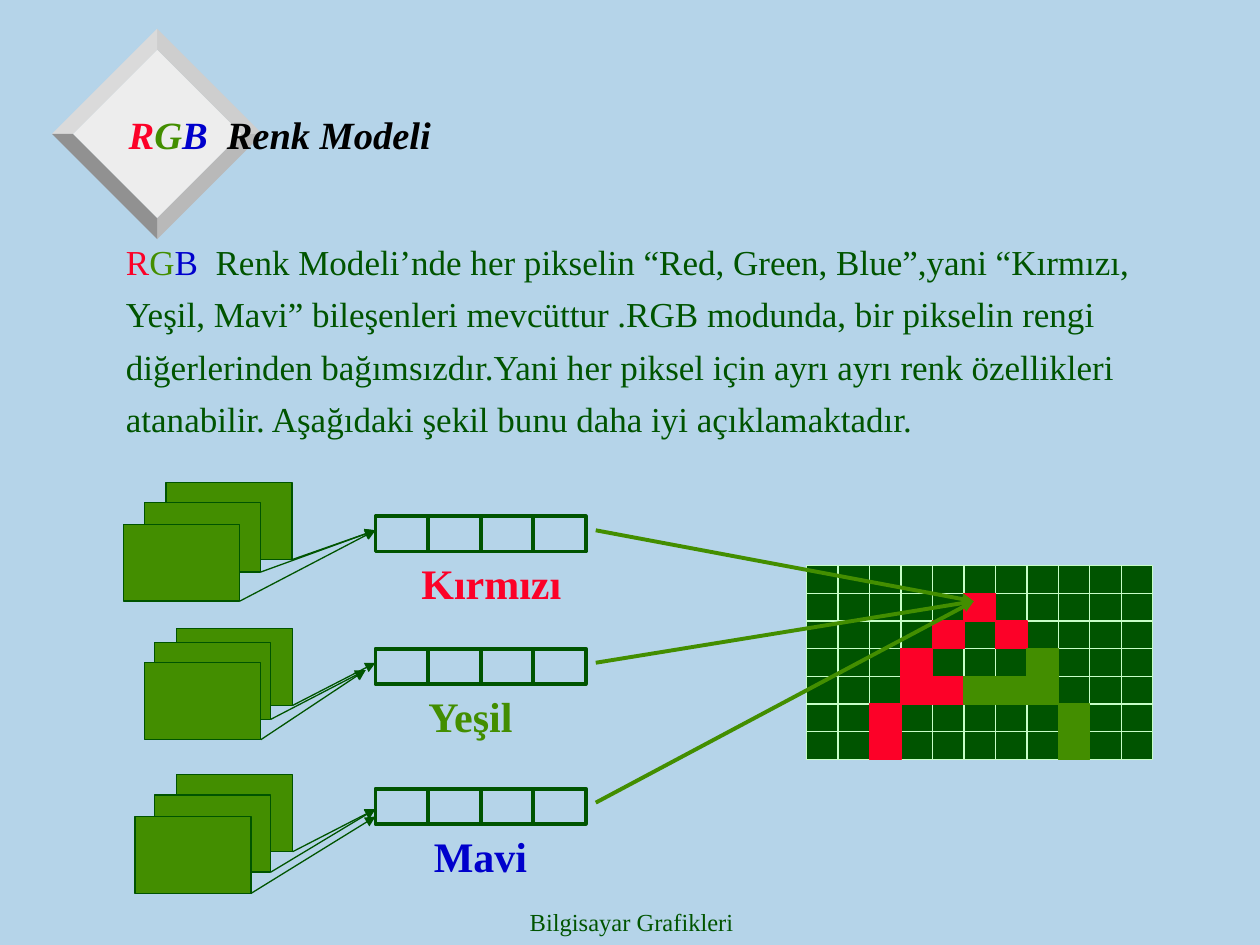
from lxml.etree import SubElement
from pptx import Presentation
from pptx.dml.color import RGBColor
from pptx.enum.shapes import MSO_CONNECTOR, MSO_SHAPE
from pptx.enum.text import MSO_ANCHOR, MSO_AUTO_SIZE, PP_ALIGN
from pptx.oxml.ns import qn
from pptx.util import Cm, Pt

HUES = {
    "sky": "B5D4E9", "dark": "005400", "green": "438E00", "red": "FC0128",
    "blue": "0000CC", "black": "000000", "mint": "C8FEC8",
    "face": "EDEDED", "ne": "CECECE", "nw": "DADADA", "se": "B9B9B9", "sw": "919191",
}


def hue(name):
    return RGBColor.from_string(HUES[name])


def put(thing, **values):
    """Set every given attribute on thing."""
    for key, value in values.items():
        setattr(thing, key, value)


class Board:
    """The style of the deck and the slide being drawn; lengths are in cm."""

    font = "Times New Roman"
    thin, bold = 0.75, 2.25

    def __init__(self, deck):
        self.slide = deck.slides.add_slide(deck.slide_layouts[5])
        self.shapes = self.slide.shapes
        fill = self.slide.background.fill
        fill.solid()
        fill.fore_color.rgb = hue("sky")

    def paint(self, shape, fill=None, edge=None, width=thin):
        shape.shadow.inherit = False
        if fill:
            shape.fill.solid()
            shape.fill.fore_color.rgb = hue(fill)
        else:
            shape.fill.background()
        if edge:
            shape.line.color.rgb = hue(edge)
            shape.line.width = Pt(width)
        else:
            shape.line.fill.background()

    def rect(self, x, y, w, h, **look):
        shape = self.shapes.add_shape(MSO_SHAPE.RECTANGLE, Cm(x), Cm(y), Cm(w), Cm(h))
        self.paint(shape, **look)

    def facet(self, points, fill):
        first, *rest = [(Cm(x), Cm(y)) for x, y in points]
        pen = self.shapes.build_freeform(*first, scale=1.0)
        pen.add_line_segments(rest, close=True)
        self.paint(pen.convert_to_shape(), fill)

    def line(self, start, end, edge, width=thin, arrow=False):
        ends = [Cm(n) for n in (*start, *end)]
        link = self.shapes.add_connector(MSO_CONNECTOR.STRAIGHT, *ends)
        link.line.color.rgb = hue(edge)
        link.line.width = Pt(width)
        props = link._element.spPr
        if arrow:
            SubElement(props.find(qn("a:ln")), qn("a:tailEnd"), type="triangle")
        SubElement(props, qn("a:effectLst"))

    def words(self, frame, rows, align, gap=0, **style):
        """Fill a frame with rows, each a list of (text, colour) runs."""
        put(frame, word_wrap=True, auto_size=MSO_AUTO_SIZE.NONE)
        for i, row in enumerate(rows):
            para = frame.add_paragraph() if i else frame.paragraphs[0]
            put(para, alignment=align, space_before=Pt(gap if i else 0))
            for text, name in row:
                run = para.add_run()
                run.text = text
                put(run.font, name=self.font, **style)
                run.font.color.rgb = hue(name)

    def text(self, x, y, w, h, rows, align=PP_ALIGN.CENTER, **style):
        box = self.shapes.add_textbox(Cm(x), Cm(y), Cm(w), Cm(h))
        self.words(box.text_frame, rows, align, **style)

    def title(self, x, y, w, h, row):
        """Place the title above the shapes drawn so far."""
        head = self.shapes.title
        put(head, left=Cm(x), top=Cm(y), width=Cm(w), height=Cm(h))
        head.text_frame.vertical_anchor = MSO_ANCHOR.MIDDLE
        self.words(head.text_frame, [row], PP_ALIGN.LEFT, size=Pt(22), bold=True, italic=True)
        head._element.getparent().append(head._element)

    def gem(self, x, y, outer, inner):
        """Draw a bevelled diamond centred on x, y."""
        def tips(r):
            return {"n": (x, y - r), "s": (x, y + r), "e": (x + r, y), "w": (x - r, y)}

        far, near = tips(outer), tips(inner)
        self.facet([near[k] for k in "nesw"], "face")
        for side in ("ne", "nw", "se", "sw"):
            a, b = side
            self.facet([near[a], far[a], far[b], near[b]], side)

    def strip(self, x, y, w, h, count):
        self.rect(x, y, w, h, edge="dark", width=self.bold)
        for i in range(1, count):
            at = x + i * w / count
            self.line((at, y), (at, y + h), "dark", self.bold)

    def grid(self, x, y, w, h, cells):
        """Draw a ruled panel and colour the cells marked R or G."""
        wide, high = w / len(cells[0]), h / len(cells)
        self.rect(x, y, w, h, fill="dark", edge="mint")
        for i in range(1, len(cells)):
            self.line((x, y + i * high), (x + w, y + i * high), "mint")
        for i in range(1, len(cells[0])):
            self.line((x + i * wide, y), (x + i * wide, y + h), "mint")
        for j, row in enumerate(cells):
            for i, mark in enumerate(row):
                if mark in "RG":
                    name = {"R": "red", "G": "green"}[mark]
                    self.rect(x + i * wide, y + j * high, wide, high, fill=name, edge=name)


RGB = [("R", "red"), ("G", "green"), ("B ", "blue")]
BODY = [
    RGB + [(" Renk Modeli’nde her pikselin “Red, Green, Blue”,yani “Kırmızı,", "dark")],
    [("Yeşil, Mavi” bileşenleri mevcüttur .RGB modunda, bir pikselin rengi", "dark")],
    [("diğerlerinden bağımsızdır.Yani her piksel için ayrı ayrı renk özellikleri", "dark")],
    [("atanabilir. Aşağıdaki şekil bunu daha iyi açıklamaktadır.", "dark")],
]
CELLS = [
    "...........",
    ".....R.....",
    "....R.R....",
    "...R...G...",
    "...RRGGG...",
    "..R.....G..",
    "..R.....G..",
]
CARD = (2.34, 1.55)
# Each channel: strip top, label (text, colour, left, width),
# then cards (left, top, width, height) with the tip of their arrow.
BANDS = [
    (10.41, ("Kırmızı", "red", 8, 3.81), [
        ((3.35, 9.73, 2.54, 1.55), (7.57, 10.69)),
        ((2.92, 10.13, 2.34, 1.4), (7.57, 10.69)),
        ((2.49, 10.57, *CARD), (7.57, 10.69))]),
    (13.08, ("Yeşil", "green", 8, 2.97), [
        ((3.56, 12.67, *CARD), (7.57, 13.36)),
        ((3.12, 12.95, *CARD), (7.37, 13.51)),
        ((2.92, 13.36, *CARD), (7.37, 13.51))]),
    (15.9, ("Mavi", "blue", 8.2, 2.97), [
        ((3.56, 15.62, *CARD), (7.57, 16.31)),
        ((3.12, 16.03, *CARD), (7.57, 16.31)),
        ((2.72, 16.46, *CARD), (7.57, 16.46))]),
]
PIXEL = (19.63, 12.12)


def main():
    deck = Presentation()
    put(deck, slide_width=Cm(25.4), slide_height=Cm(19.05))
    board = Board(deck)
    board.gem(3.17, 2.7, 2.12, 1.7)
    board.text(8.71, 18.16, 8.05, 0.89, [[("Bilgisayar Grafikleri", "dark")]], size=Pt(14))
    board.title(2.34, 1.17, 21.59, 3.07, RGB + [(" Renk Modeli", "black")])
    board.text(2.29, 4.72, 21.59, 4.8, BODY, PP_ALIGN.LEFT, gap=6, size=Pt(20))
    board.grid(16.26, 11.4, 6.98, 3.91, CELLS)
    for top, (word, name, left, wide), cards in BANDS:
        for card, _ in cards:
            board.rect(*card, fill="green", edge="dark")
        board.strip(7.57, top, 4.24, 0.71, 4)
        board.line((12.01, top + 0.28), PIXEL, "green", board.bold, arrow=True)
        board.text(left, top + 0.71, wide, 1.27, [[(word, name)]], size=Pt(24), bold=True)
        for (x, y, w, h), tip in cards:
            board.line((x + w, y + h), tip, "dark", arrow=True)
    deck.save("out.pptx")


if __name__ == "__main__":
    main()
